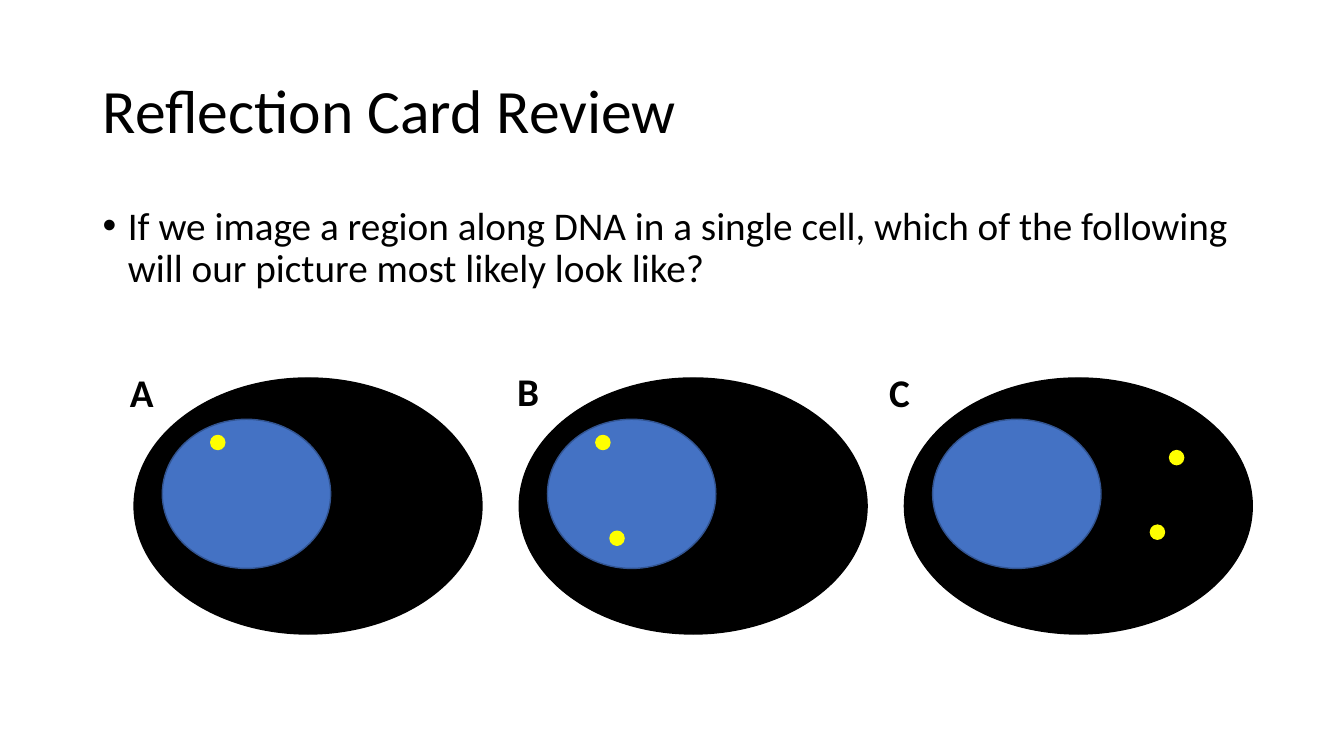
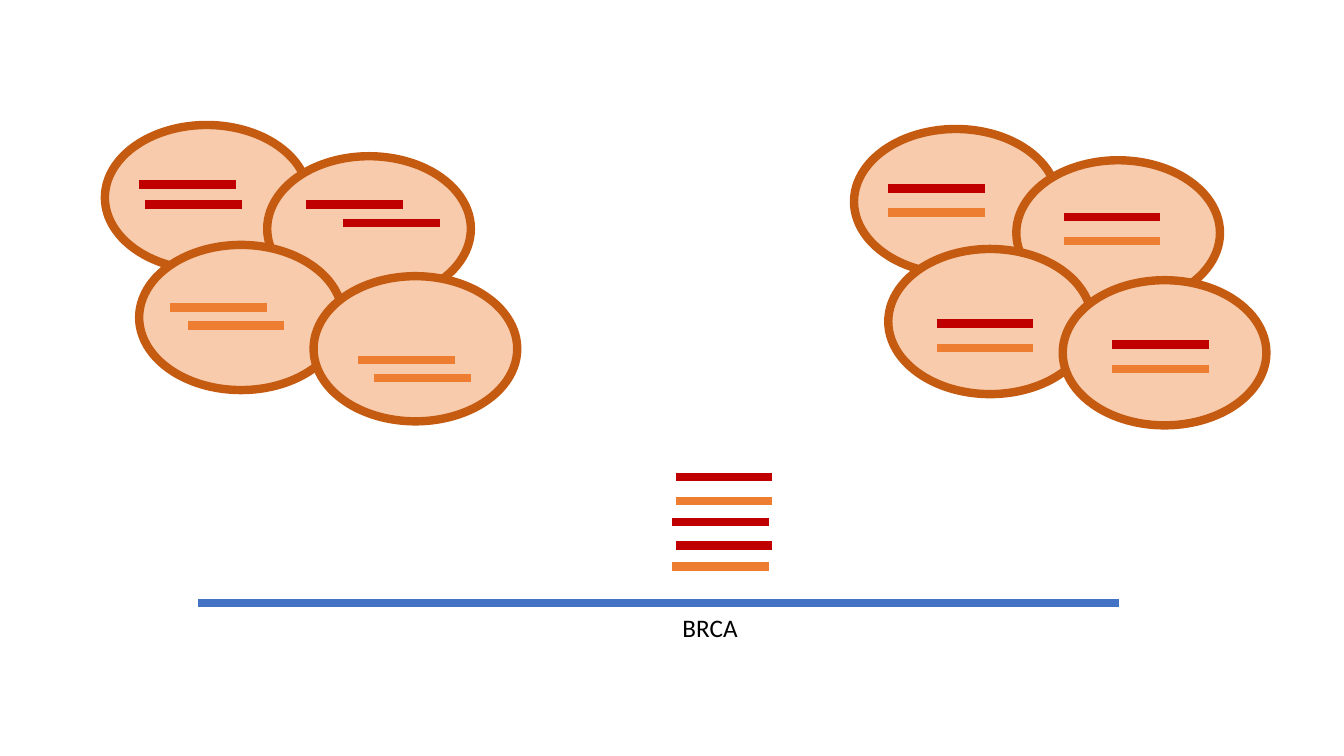
"""Build two slides on imaging DNA in cells: a review question and a read-mapping sketch."""
import pptx
import pptx.dml.color
import pptx.enum.shapes
import pptx.enum.text
import pptx.oxml.ns
import pptx.util
from lxml import etree

Inches, Pt = pptx.util.Inches, pptx.util.Pt
RGBColor = pptx.dml.color.RGBColor
ANCHOR = pptx.enum.text.MSO_ANCHOR
AUTO_SIZE = pptx.enum.text.MSO_AUTO_SIZE

FONT = "Calibri"
BLACK = RGBColor(0x00, 0x00, 0x00)
BLUE = RGBColor(0x44, 0x72, 0xC4)
DARK_BLUE = RGBColor(0x32, 0x54, 0x91)
YELLOW = RGBColor(0xFF, 0xFF, 0x00)
RED = RGBColor(0xC0, 0x00, 0x00)
ORANGE = RGBColor(0xED, 0x7D, 0x31)
PEACH = RGBColor(0xF8, 0xCB, 0xAD)
RUST = RGBColor(0xC5, 0x5A, 0x11)

SLIDE_SIZE = (13.33, 7.5)
MARGIN = 0.92
CONTENT_WIDTH = SLIDE_SIZE[0] - 2 * MARGIN

TITLE = "Reflection Card Review"
QUESTION = ("If we image a region along DNA in a single cell, which of the following "
            "will our picture most likely look like?")

CELL_LEFT, CELL_TOP, CELL_STEP = 1.33, 3.75, 3.82
CELL_SIZE = (3.45, 2.54)
NUCLEUS_OFFSET, NUCLEUS_SIZE = (0.28, 0.41), (1.67, 1.48)
SPOT_SIZE = (0.14, 0.14)
ANSWERS = [
    {"label": "A", "label_at": (1.19, 3.6), "spots": [(0.76, 0.57)]},
    {"label": "B", "label_at": (5.03, 3.59), "spots": [(0.76, 0.57), (0.9, 1.52)]},
    {"label": "C", "label_at": (8.72, 3.6), "spots": [(2.63, 0.72), (2.44, 1.46)]},
]

READ_LENGTH, THICK = 0.96, 6
GENE = "BRCA"
GENE_START, GENE_END, GENE_Y = 1.96, 11.1, 5.98
PILED_READS = [
    (6.7, 4.73, RED), (6.7, 4.97, ORANGE), (6.67, 5.18, RED),
    (6.7, 5.41, RED), (6.67, 5.62, ORANGE),
]
TUMOR_CELL_SIZE = (2.02, 1.44)
CLUSTER_OFFSETS = [(0, 0), (1.61, 0.31), (0.34, 1.19), (2.07, 1.5)]
CLUSTERS = [
    {"origin": (1.04, 1.24), "reads": [
        [(0.34, 0.59, RED), (0.4, 0.79, RED)],
        [(0.39, 0.48, RED), (0.75, 0.66, RED)],
        [(0.31, 0.62, ORANGE), (0.48, 0.8, ORANGE)],
        [(0.44, 0.83, ORANGE), (0.6, 1.01, ORANGE)]]},
    {"origin": (8.47, 1.28), "reads": [
        [(x, y, RED), (x, y + 0.24, ORANGE)]
        for x, y in [(0.34, 0.59), (0.47, 0.56), (0.48, 0.74), (0.49, 0.64)]]},
]


def write(box, text, size, bold=False, wrap=True, anchor=ANCHOR.TOP, spacing=None, bullet=None):
    """Put one formatted paragraph in a box."""
    frame = box.text_frame
    frame.auto_size = AUTO_SIZE.NONE if wrap else AUTO_SIZE.SHAPE_TO_FIT_TEXT
    frame.word_wrap = wrap
    frame.vertical_anchor = anchor
    para = frame.paragraphs[0]
    para.alignment = pptx.enum.text.PP_ALIGN.LEFT
    para.line_spacing = spacing
    if bullet:
        properties = para._p.get_or_add_pPr()
        properties.set("marL", str(Inches(0.25)))
        properties.set("indent", str(Inches(-0.25)))
        etree.SubElement(properties, pptx.oxml.ns.qn("a:buFont"), typeface="Arial")
        etree.SubElement(properties, pptx.oxml.ns.qn("a:buChar"), char=bullet)
    span = para.add_run()
    span.text = text
    span.font.name, span.font.size, span.font.bold = FONT, Pt(size), bold
    span.font.color.rgb = BLACK


def add_text(page, text, at, extent, size, **style):
    """Add a text box."""
    box = page.shapes.add_textbox(*map(Inches, at + extent))
    write(box, text, size, **style)


def add_ellipse(shapes, at, extent, fill, outline, width=1):
    """Add a filled and outlined ellipse."""
    kind = pptx.enum.shapes.MSO_SHAPE.OVAL
    ellipse = shapes.add_shape(kind, *map(Inches, at + extent))
    ellipse.shadow.inherit = False
    ellipse.fill.solid()
    ellipse.fill.fore_color.rgb = fill
    ellipse.line.color.rgb = outline
    ellipse.line.width = Pt(width)


def add_strand(page, x, y, color, length=READ_LENGTH):
    """Add a thick horizontal line."""
    kind = pptx.enum.shapes.MSO_CONNECTOR.STRAIGHT
    strand = page.shapes.add_connector(kind, *map(Inches, (x, y, x + length, y)))
    strand.line.color.rgb = color
    strand.line.width = Pt(THICK)
    etree.SubElement(strand._element.spPr, pptx.oxml.ns.qn("a:effectLst"))


def shift(origin, offset):
    """Move a point by an offset."""
    return origin[0] + offset[0], origin[1] + offset[1]


def build_question(deck):
    """Build the question slide with its three answers."""
    page = deck.slides.add_slide(deck.slide_layouts[5])
    title = page.shapes.title
    title.left, title.top = Inches(MARGIN), Inches(0.4)
    title.width, title.height = Inches(CONTENT_WIDTH), Inches(1.45)
    write(title, TITLE, 44, anchor=ANCHOR.MIDDLE, spacing=0.9)
    add_text(page, QUESTION, (MARGIN, 2), (CONTENT_WIDTH, 1.2), 28, spacing=0.9, bullet="•")
    for index, answer in enumerate(ANSWERS):
        cell = (CELL_LEFT + index * CELL_STEP, CELL_TOP)
        shapes = page.shapes.add_group_shape().shapes
        add_ellipse(shapes, cell, CELL_SIZE, BLACK, BLACK)
        add_ellipse(shapes, shift(cell, NUCLEUS_OFFSET), NUCLEUS_SIZE, BLUE, DARK_BLUE)
        for spot in answer["spots"]:
            add_ellipse(shapes, shift(cell, spot), SPOT_SIZE, YELLOW, YELLOW)
    for answer in ANSWERS:
        add_text(page, answer["label"], answer["label_at"], (0.42, 0.57), 28,
                 bold=True, wrap=False)


def build_mapping(deck):
    """Build the slide of cell clusters above the gene."""
    page = deck.slides.add_slide(deck.slide_layouts[6])
    add_strand(page, GENE_START, GENE_Y, BLUE, GENE_END - GENE_START)
    for read in PILED_READS:
        add_strand(page, *read)
    add_text(page, GENE, (6.67, 6.03), (0.75, 0.4), 18, wrap=False)
    for cluster in CLUSTERS:
        for offset, reads in zip(CLUSTER_OFFSETS, cluster["reads"]):
            cell = shift(cluster["origin"], offset)
            add_ellipse(page.shapes, cell, TUMOR_CELL_SIZE, PEACH, RUST, THICK)
            for x, y, color in reads:
                add_strand(page, *shift(cell, (x, y)), color)


def main():
    """Build and save the deck."""
    deck = pptx.Presentation()
    deck.slide_width, deck.slide_height = map(Inches, SLIDE_SIZE)
    build_question(deck)
    build_mapping(deck)
    deck.save("out.pptx")


if __name__ == "__main__":
    main()
